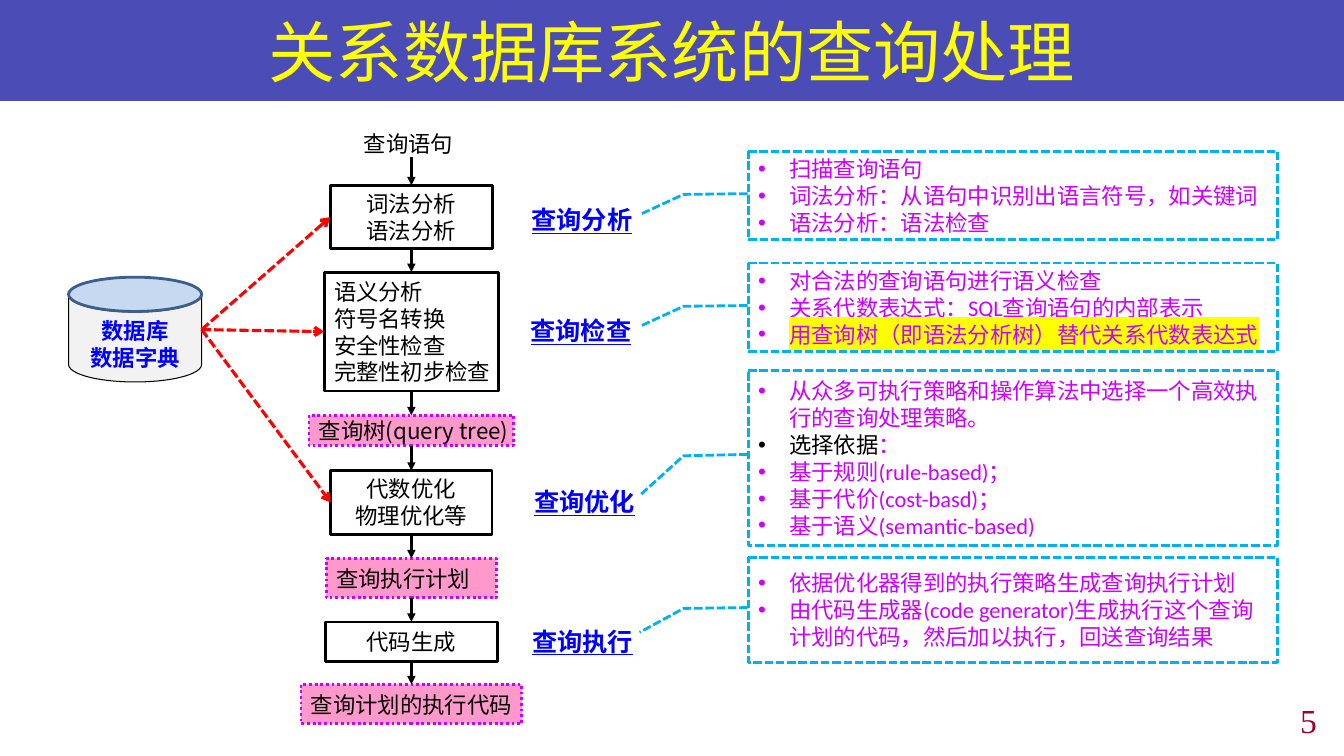
from pptx import Presentation
from pptx.dml.color import RGBColor
from pptx.enum.dml import MSO_LINE
from pptx.enum.shapes import MSO_CONNECTOR, MSO_SHAPE
from pptx.enum.text import MSO_ANCHOR, MSO_AUTO_SIZE, PP_ALIGN
from pptx.oxml.ns import qn
from pptx.util import Inches, Pt
from lxml.etree import SubElement

CJK = "Noto Sans CJK SC"
BLACK, BLUE, RED, PURPLE = "000000", "0000FF", "FF0000", "CC00FF"
PINK, SKY, YELLOW = "FF99CC", "00B0F0", "FFFF00"
FLOW_CENTER = 4.08
TOP, LEFT, BOTTOM = 0, 1, 2

# Flow steps: width, top, height, lines, centred, is a result
STEPS = [
    (1.61, 1.84, 0.63, ["词法分析", "语法分析"], True, False),
    (1.73, 2.7, 1.18, ["语义分析", "符号名转换", "安全性检查", "完整性初步检查"], False, False),
    (2.03, 4.12, 0.3, ["查询树(query tree)"], False, True),
    (1.6, 4.67, 0.63, ["代数优化", "物理优化等"], True, False),
    (1.69, 5.54, 0.39, ["查询执行计划"], False, True),
    (1.71, 6.17, 0.39, ["代码生成"], True, False),
    (2.19, 6.79, 0.39, ["查询计划的执行代码"], False, True),
]
DICTIONARY_USERS = (0, 1, 3)

# Stage names: left, top, width, text, alignment
STAGES = [
    (4.87, 1.98, 1.5, "查询分析", PP_ALIGN.RIGHT),
    (5.11, 3.08, 1.25, "查询检查", PP_ALIGN.RIGHT),
    (5.2, 4.78, 1.28, "查询优化", PP_ALIGN.LEFT),
    (5.18, 6.16, 1.22, "查询执行", PP_ALIGN.LEFT),
]

# Callouts: top, height, bullets
CALLOUTS = [
    (1.5, 0.88, ["扫描查询语句", "词法分析：从语句中识别出语言符号，如关键词", "语法分析：语法检查"]),
    (2.61, 0.88, ["对合法的查询语句进行语义检查", "关系代数表达式：SQL查询语句的内部表示",
                  "用查询树（即语法分析树）替代关系代数表达式"]),
    (3.68, 1.73, ["从众多可执行策略和操作算法中选择一个高效执行的查询处理策略。", "选择依据：",
                  "基于规则(rule-based)；", "基于代价(cost-basd)；", "基于语义(semantic-based)"]),
    (5.53, 1.04, ["依据优化器得到的执行策略生成查询执行计划",
                  "由代码生成器(code generator)生成执行这个查询计划的代码，然后加以执行，回送查询结果"]),
]
HIGHLIGHTED = "用查询树（即语法分析树）替代关系代数表达式"
BLACK_LEAD = "选择依据"


def rgb(value):
    return RGBColor.from_string(value)


def style_font(font, size, color, name=CJK, bold=False, underline=False):
    font.size, font.name = Pt(size), name
    font.bold, font.underline = bold, underline
    font.color.rgb = rgb(color)
    east = SubElement(font._element, qn("a:ea"))
    east.set("typeface", CJK)


def hang(para, inches, bullet=None):
    props = para._p.get_or_add_pPr()
    props.set("marL", str(Inches(inches)))
    props.set("indent", str(-Inches(inches)))
    if bullet:
        SubElement(props, qn("a:buFont")).set("typeface", "Arial")
        SubElement(props, qn("a:buChar")).set("char", bullet)


def write(box, lines, size, color, align=PP_ALIGN.LEFT, anchor=MSO_ANCHOR.MIDDLE,
          wrap=True, indent=0, bullet=None, **font):
    frame = box.text_frame
    frame.word_wrap, frame.vertical_anchor = wrap, anchor
    for index, line in enumerate(lines):
        para = frame.add_paragraph() if index else frame.paragraphs[0]
        para.alignment = align
        if indent:
            hang(para, indent, bullet)
        para.add_run().text = line
        style_font(para.font, size, color, **font)


def style_line(line, color, width, dash=None):
    line.color.rgb, line.width = rgb(color), Pt(width)
    if dash:
        line.dash_style = dash


def add_box(page, kind, place, fill, color, width, dash=None):
    box = page.shapes.add_shape(kind, *map(Inches, place))
    box.shadow.inherit = False
    if fill:
        box.fill.solid()
        box.fill.fore_color.rgb = rgb(fill)
    else:
        box.fill.background()
    style_line(box.line, color, width, dash)
    return box


def add_label(page, place, text, size, color, anchor=MSO_ANCHOR.TOP, grow=True, **style):
    box = page.shapes.add_textbox(*map(Inches, place))
    write(box, [text], size, color, anchor=anchor, **style)
    if grow:
        box.text_frame.auto_size = MSO_AUTO_SIZE.SHAPE_TO_FIT_TEXT


def add_arrow(page, start, target, side, color, width, head, dash=None):
    """Arrow from a point, or from the bottom of a box, to a side of the target."""
    arrow = page.shapes.add_connector(MSO_CONNECTOR.STRAIGHT, 0, 0, 0, 0)
    if isinstance(start, tuple):
        arrow.begin_x, arrow.begin_y = map(Inches, start)
    else:
        arrow.begin_connect(start, BOTTOM)
    arrow.end_connect(target, side)
    style_line(arrow.line, color, width, dash)
    SubElement(arrow.line._get_or_add_ln(), qn("a:tailEnd")).set("type", head)
    SubElement(arrow._element.spPr, qn("a:effectLst"))


def add_title(page, text):
    title = page.shapes.title
    title.left, title.top, title.width, title.height = map(Inches, (0, 0, 13.33, 1))
    title.fill.solid()
    title.fill.fore_color.rgb = rgb("000099")
    tint = title._element.spPr.find(".//" + qn("a:srgbClr"))
    SubElement(tint, qn("a:alpha")).set("val", "70000")
    write(title, [text], 48, YELLOW, PP_ALIGN.CENTER)


def add_step(page, width, top, height, lines, centred, is_result):
    look = (PINK, PURPLE, 2, MSO_LINE.ROUND_DOT) if is_result else (None, BLACK, 2)
    place = (FLOW_CENTER - width / 2, top, width, height)
    box = add_box(page, MSO_SHAPE.RECTANGLE, place, *look)
    write(box, lines, 16, BLACK, PP_ALIGN.CENTER if centred else PP_ALIGN.LEFT,
          wrap=False, indent=0.38)
    return box


def add_callout(page, top, height, lines):
    box = add_box(page, MSO_SHAPE.LINE_CALLOUT_2, (7.42, top, 5.25, height),
                  None, SKY, 2, MSO_LINE.SQUARE_DOT)
    for index, value in enumerate((0.479, -0.001, 0.487, -0.122, 0.715, -0.205)):
        box.adjustments[index] = value
    write(box, lines, 16, PURPLE, indent=0.31, bullet="•", name="Calibri")
    for para in box.text_frame.paragraphs:
        span = para.runs[0]
        if span.text == HIGHLIGHTED:
            mark = SubElement(span.font._element, qn("a:highlight"))
            SubElement(mark, qn("a:srgbClr")).set("val", YELLOW)
        elif span.text.startswith(BLACK_LEAD):
            para.add_run().text = span.text[len(BLACK_LEAD):]
            span.text = BLACK_LEAD
            span.font.color.rgb = rgb(BLACK)


def add_database(page):
    disk = add_box(page, MSO_SHAPE.FLOWCHART_MAGNETIC_DISK, (0.68, 2.75, 1.32, 1.04),
                   "F2F2F2", BLACK, 0.75)
    write(disk, ["数据库", "数据字典"], 16, BLUE, PP_ALIGN.CENTER, MSO_ANCHOR.TOP, bold=True)
    add_box(page, MSO_SHAPE.OVAL, (0.68, 2.75, 1.32, 0.34), "C6D9F1", "3A5F8C", 2)


def main():
    deck = Presentation()
    deck.slide_width, deck.slide_height = Inches(13.33), Inches(7.5)
    page = deck.slides.add_slide(deck.slide_layouts[5])
    add_title(page, "关系数据库系统的查询处理")

    # Query flow
    add_label(page, (3.51, 1.24, 1.11, 0.37), "查询语句", 16, BLACK, wrap=False)
    steps = [add_step(page, *step) for step in STEPS]
    for start, target in zip([(FLOW_CENTER, 1.56)] + steps, steps):
        add_arrow(page, start, target, TOP, BLACK, 2, "triangle")

    # Data dictionary and the steps that use it
    add_database(page)
    for index in DICTIONARY_USERS:
        add_arrow(page, (2, 3.27), steps[index], LEFT, RED, 2.25, "arrow", MSO_LINE.SQUARE_DOT)

    # Stages and their explanations
    for left, top, width, text, align in STAGES:
        add_label(page, (left, top, width, 0.4), text, 18, BLUE, align=align,
                  bold=True, underline=True)
    for callout in CALLOUTS:
        add_callout(page, *callout)

    # Page number
    add_label(page, (10.33, 6.99, 2.83, 0.31), "5", 24, "990033", MSO_ANCHOR.MIDDLE,
              grow=False, align=PP_ALIGN.RIGHT, name="Times New Roman")
    deck.save("out.pptx")


if __name__ == "__main__":
    main()
